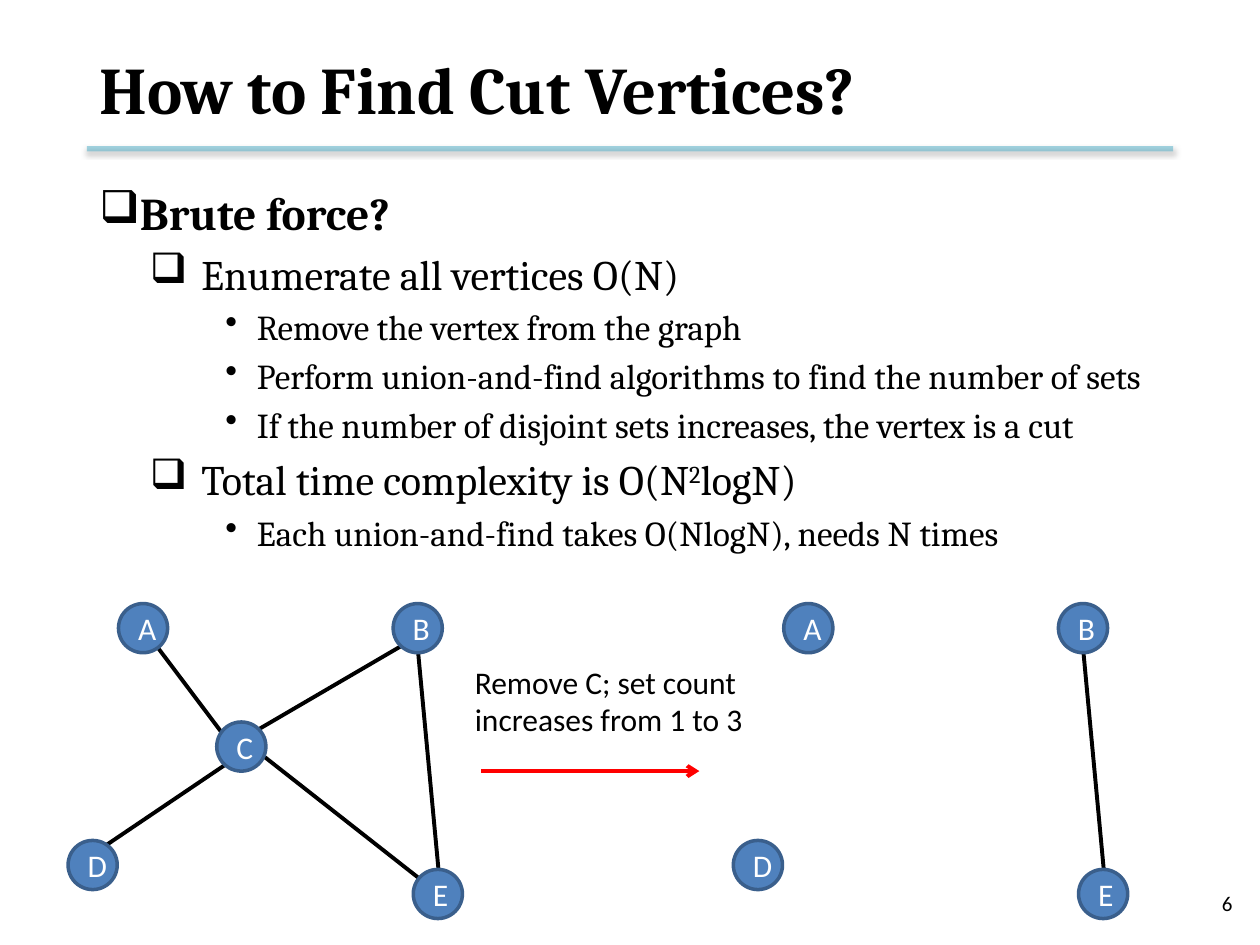
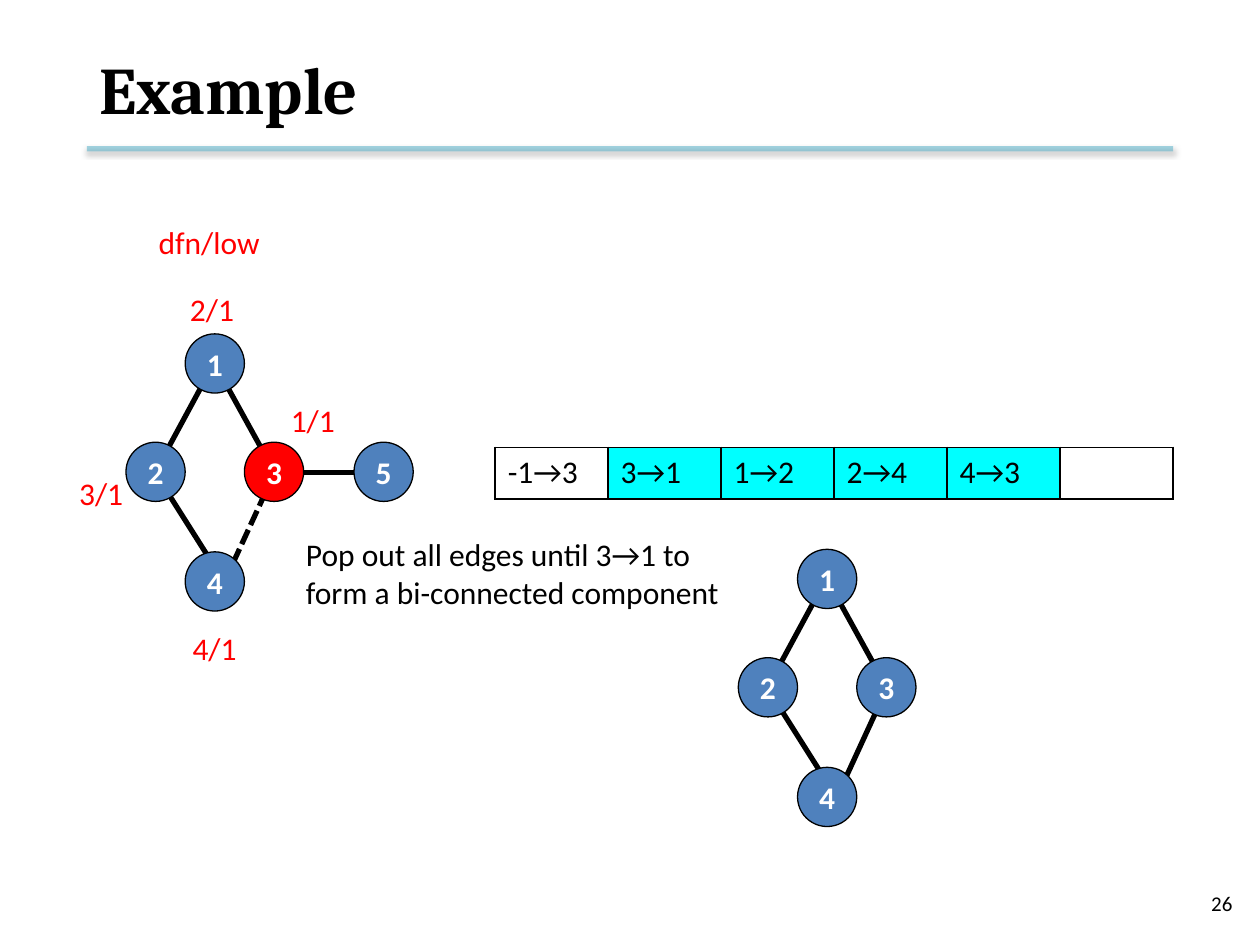
from pptx import Presentation
from pptx.dml.color import RGBColor
from pptx.enum.dml import MSO_LINE
from pptx.enum.shapes import MSO_CONNECTOR, MSO_SHAPE
from pptx.enum.text import MSO_ANCHOR, MSO_AUTO_SIZE, PP_ALIGN
from pptx.oxml import parse_xml
from pptx.oxml.ns import nsdecls, qn
from pptx.util import Inches, Pt

BLACK = RGBColor(0x00, 0x00, 0x00)
WHITE = RGBColor(0xFF, 0xFF, 0xFF)
RED = RGBColor(0xFF, 0x00, 0x00)
CYAN = RGBColor(0x00, 0xFF, 0xFF)
BLUE = RGBColor(0x4F, 0x81, 0xBD)
DARK_BLUE = RGBColor(0x3A, 0x5F, 0x8C)
TEAL = RGBColor(0x4B, 0xAC, 0xC6)
SERIF, SANS = "Cambria", "Calibri"
STRAIGHT = MSO_CONNECTOR.STRAIGHT
ELLIPSE = MSO_SHAPE.OVAL
SYS_DASH = MSO_LINE.SQUARE_DOT
MIDDLE = MSO_ANCHOR.MIDDLE
LEFT, CENTER, RIGHT = PP_ALIGN.LEFT, PP_ALIGN.CENTER, PP_ALIGN.RIGHT
GROW, FIXED = MSO_AUTO_SIZE.SHAPE_TO_FIT_TEXT, MSO_AUTO_SIZE.NONE


def add_line(slide, x1, y1, x2, y2, color=BLACK, width=2.25):
    line = slide.shapes.add_connector(
        STRAIGHT, Inches(x1), Inches(y1), Inches(x2), Inches(y2))
    line.line.color.rgb = color
    line.line.width = Pt(width)
    line.element.spPr.append(parse_xml(f"<a:effectLst {nsdecls('a')}/>"))
    return line


def add_text(slide, left, top, width, height, text, color=BLACK, size=18, wrap=True):
    box = slide.shapes.add_textbox(
        Inches(left), Inches(top), Inches(width), Inches(height))
    frame = box.text_frame
    frame.word_wrap = wrap
    frame.auto_size = GROW
    run = frame.paragraphs[0].add_run()
    run.text = text
    run.font.name, run.font.size, run.font.color.rgb = SANS, Pt(size), color
    return frame


prs = Presentation()
prs.slide_width, prs.slide_height = Inches(10), Inches(7.5)

# Shared title, rule and page number
slides = []
for heading, page in [("How to Find Cut Vertices?", "6"), ("Example", "26")]:
    slide = prs.slides.add_slide(prs.slide_layouts[5])
    slides.append(slide)

    title = slide.shapes.title
    title.left, title.top = Inches(0.69), Inches(0.17)
    title.width, title.height = Inches(8.62), Inches(1.06)
    title.text_frame.vertical_anchor = MIDDLE
    paragraph = title.text_frame.paragraphs[0]
    paragraph.alignment = LEFT
    run = paragraph.add_run()
    run.text = heading
    run.font.name, run.font.size, run.font.bold = SERIF, Pt(38), True
    run.font.color.rgb = BLACK

    rule = add_line(slide, 0.69, 1.18, 9.31, 1.18, TEAL, 3)
    rule.element.xpath(".//a:ln//a:srgbClr")[0].append(
        parse_xml(f'<a:alpha {nsdecls("a")} val="50000"/>'))
    rule.element.spPr.find(qn("a:effectLst")).append(parse_xml(
        f'<a:outerShdw {nsdecls("a")} blurRad="{Pt(3.1)}" dist="{Pt(1.6)}"'
        ' dir="5400000" rotWithShape="0"><a:srgbClr val="000000">'
        '<a:alpha val="38000"/></a:srgbClr></a:outerShdw>'))

    number = add_text(slide, 7.55, 6.97, 2.33, 0.4, page, size=12)
    number.auto_size = FIXED
    number.vertical_anchor = MIDDLE
    number.paragraphs[0].alignment = RIGHT

brute_force, example = slides

# Outline of the brute-force method
# Level: left margin, first-line indent, bullet, text size
LEVELS = [(0.25, -0.45, "❑", 26), (0.81, -0.41, "❑", 24), (1.25, -0.25, "•", 20)]
OUTLINE = [
    (0, ["Brute force?"]),
    (1, ["Enumerate all vertices O(N)"]),
    (2, ["Remove the vertex from the graph"]),
    (2, ["Perform union-and-find algorithms to find the number of sets"]),
    (2, ["If the number of disjoint sets increases, the vertex is a cut"]),
    (1, ["Total time complexity is O(N", "2", "logN)"]),
    (2, ["Each union-and-find takes O(NlogN), needs N times"]),
]
outline = brute_force.shapes.add_textbox(
    Inches(0.69), Inches(1.42), Inches(8.62), Inches(5.1)).text_frame
outline.word_wrap = True
for i, (level, parts) in enumerate(OUTLINE):
    margin, indent, bullet, size = LEVELS[level]
    paragraph = outline.add_paragraph() if i else outline.paragraphs[0]
    paragraph.level = level
    properties = paragraph._p.get_or_add_pPr()
    properties.set("marL", str(Inches(margin)))
    properties.set("indent", str(Inches(indent)))
    properties.append(parse_xml(f'<a:buChar {nsdecls("a")} char="{bullet}"/>'))
    if i:
        paragraph.space_before = Pt(size * 0.2)
    for part in parts:
        run = paragraph.add_run()
        run.text = part
        run.font.name, run.font.size, run.font.bold = SERIF, Pt(size), level == 0
        run.font.color.rgb = BLACK
        if part == "2":
            run.font._element.set("baseline", "30000")

# Graphs: node corners and edge ends, each reused with an offset
CUT_NODES = {"A": (0.94, 4.79), "B": (3.12, 4.79), "C": (1.72, 5.73),
             "D": (0.54, 6.67), "E": (3.28, 6.9)}
CUT_EDGES = {"BE": (3.32, 5.19, 3.48, 6.9), "BC": (3.18, 5.13, 2.05, 5.79),
             "CE": (1.95, 5.89, 3.44, 7.06), "AC": (1.17, 5.03, 1.87, 5.96),
             "CD": (1.95, 5.96, 0.78, 6.75)}
DFS_NODES = {"1": (1.47, 2.65), "2": (1, 3.51), "3": (1.94, 3.51),
             "4": (1.47, 4.38), "5": (2.81, 3.51)}
DFS_EDGES = {"35": (2.18, 3.75, 3.04, 3.75), "12": (1.7, 2.88, 1.23, 3.75),
             "13": (1.7, 2.88, 2.18, 3.75), "24": (1.23, 3.75, 1.78, 4.62),
             "34": (2.18, 3.75, 1.78, 4.62)}
CUT_STYLE = (0.39, DARK_BLUE, 2, 2.25, False)
DFS_STYLE = (0.47, BLACK, 0.75, 3, True)
# Slide, nodes, edges, style, offset, vertices kept, red vertex, dashed edge
GRAPHS = [
    (brute_force, CUT_NODES, CUT_EDGES, CUT_STYLE, (0, 0), "ABCDE", None, None),
    (brute_force, CUT_NODES, CUT_EDGES, CUT_STYLE, (5.28, 0), "ABDE", None, None),
    (example, DFS_NODES, DFS_EDGES, DFS_STYLE, (0, 0), "12345", "3", "34"),
    (example, DFS_NODES, DFS_EDGES, DFS_STYLE, (4.86, 1.71), "1234", None, None),
]
for slide, nodes, edges, style, (dx, dy), kept, current, back_edge in GRAPHS:
    diameter, outline_color, outline_width, edge_width, bold = style
    for pair, (x1, y1, x2, y2) in edges.items():
        if set(pair) <= set(kept):
            edge = add_line(slide, x1 + dx, y1 + dy, x2 + dx, y2 + dy, width=edge_width)
            if pair == back_edge:
                edge.line.dash_style = SYS_DASH
    for vertex in kept:
        x, y = nodes[vertex]
        node = slide.shapes.add_shape(
            ELLIPSE, Inches(x + dx), Inches(y + dy), Inches(diameter), Inches(diameter))
        node.shadow.inherit = False
        node.fill.solid()
        node.fill.fore_color.rgb = RED if vertex == current else BLUE
        node.line.color.rgb = outline_color
        node.line.width = Pt(outline_width)
        node.text_frame.word_wrap = not bold
        node.text_frame.vertical_anchor = MIDDLE
        paragraph = node.text_frame.paragraphs[0]
        paragraph.alignment = CENTER
        run = paragraph.add_run()
        run.text = vertex
        run.font.name, run.font.size, run.font.bold = SANS, Pt(18), bold
        run.font.color.rgb = WHITE

# Removal of vertex C
add_text(brute_force, 3.67, 5.21, 2.56, 0.71, "Remove C; set count increases from 1 to 3")
removal = add_line(brute_force, 3.82, 6.12, 5.55, 6.12, RED)
removal.element.spPr.find(qn("a:ln")).append(
    parse_xml(f'<a:tailEnd {nsdecls("a")} type="arrow"/>'))

# Edge stack
STACK = ["-1→3", "3→1", "1→2", "2→4", "4→3", ""]
POPPED = STACK[1:5]
stack = example.shapes.add_table(
    1, len(STACK), Inches(3.93), Inches(3.55), Inches(5.38), Inches(0.41)).table
stack.first_row = stack.horz_banding = False
for cell, entry in zip(stack.rows[0].cells, STACK):
    for side in ("lnL", "lnR", "lnT", "lnB"):
        cell._tc.get_or_add_tcPr().append(parse_xml(
            f'<a:{side} {nsdecls("a")} w="{Pt(1)}"><a:solidFill>'
            f'<a:srgbClr val="{BLACK}"/></a:solidFill></a:{side}>'))
    if entry in POPPED:
        cell.fill.solid()
        cell.fill.fore_color.rgb = CYAN
    else:
        cell.fill.background()
    if entry:
        run = cell.text_frame.paragraphs[0].add_run()
        run.text = entry
        run.font.name, run.font.size, run.font.color.rgb = SANS, Pt(18), BLACK

# Depth-first numbers and low values
for left, top, width, label in [
    (1.16, 1.72, 1.01, "dfn/low"),
    (1.41, 2.25, 0.56, "2/1"),
    (2.21, 3.13, 0.56, "1/1"),
    (0.53, 3.71, 0.56, "3/1"),
    (1.43, 4.94, 0.56, "4/1"),
]:
    add_text(example, left, top, width, 0.4, label, RED, wrap=False)
add_text(example, 2.33, 4.2, 3.56, 0.71,
         "Pop out all edges until 3→1 to form a bi-connected component")

prs.save("out.pptx")
